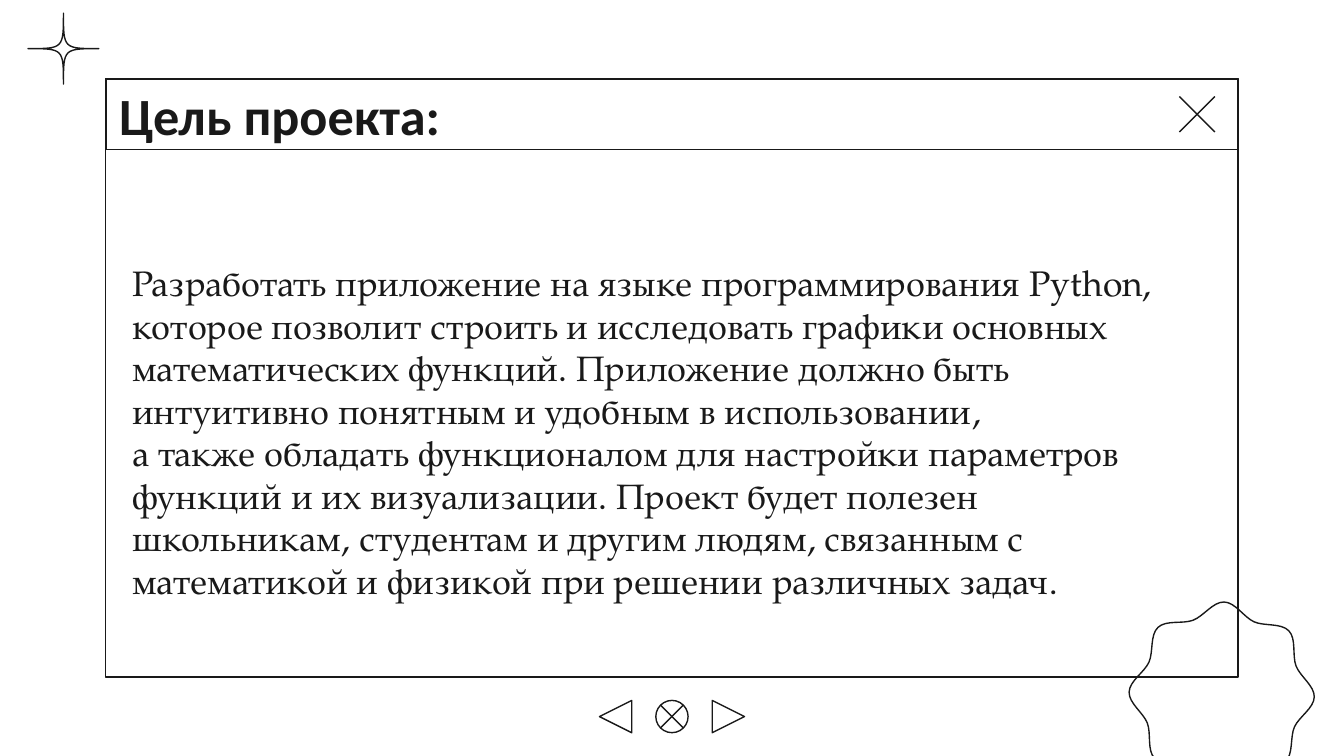
import math

import pptx
import pptx.dml.color
import pptx.enum.shapes
import pptx.enum.text
import pptx.util
from lxml import etree
from pptx.util import Cm

INK = pptx.dml.color.RGBColor(0x19, 0x19, 0x19)
WHITE = pptx.dml.color.RGBColor(0xFF, 0xFF, 0xFF)
SHAPES = pptx.enum.shapes.MSO_SHAPE
ANCHOR = pptx.enum.text.MSO_ANCHOR
NBSP = chr(160)

TITLE = "Цель проекта:"
# Words stay together on a line; lines break only between entries
GOAL_LINES = (
    "Разработать приложение на языке программирования Python,",
    "которое позволит строить и исследовать графики основных",
    "математических функций. Приложение должно быть",
    "интуитивно понятным и удобным в использовании,",
    "а также обладать функционалом для настройки параметров",
    "функций и их визуализации. Проект будет полезен",
    "школьникам, студентам и другим людям, связанным с",
    "математикой и физикой при решении различных задач",
)


def outline(part):
    part.fill.background()
    part.line.color.rgb = INK
    part.line.width = pptx.util.Pt(0.75)


def add_outlined(slide, kind, left, top, width, height):
    part = slide.shapes.add_shape(kind, left, top, width, height)
    part.shadow.inherit = False
    outline(part)
    return part


def add_closed_curve(slide, points):
    """Draw a start point followed by triples: two handles and an end."""
    points = [(round(x), round(y)) for x, y in points]
    builder = slide.shapes.build_freeform(*points[0], scale=1.0)
    builder.add_line_segments(points[1:], close=True)
    curve = builder.convert_to_shape()
    curve.shadow.inherit = False
    outline(curve)

    # Turn each triple of line ends into one Bezier segment
    qn = pptx.oxml.ns.qn
    lines = list(curve.element.spPr.iter(qn("a:lnTo")))
    for first in range(0, len(points) - 1, 3):
        triple = lines[first:first + 3]
        bezier = etree.Element(qn("a:cubicBezTo"))
        triple[0].addprevious(bezier)
        for line in triple:
            bezier.append(line[0])
            line.getparent().remove(line)


def set_frame(frame, anchor, left, top, right, bottom):
    frame.word_wrap = True
    frame.auto_size = pptx.enum.text.MSO_AUTO_SIZE.NONE
    frame.vertical_anchor = anchor
    frame.margin_left, frame.margin_top = left, top
    frame.margin_right, frame.margin_bottom = right, bottom
    frame.paragraphs[0].alignment = pptx.enum.text.PP_ALIGN.LEFT


def add_badge(slide, left, top, size):
    """Wavy ring with eight lobes, its handles along the tangents."""
    tilt, handle = math.radians(1.5), size * 0.06

    def spot(index, along):
        angle = tilt + index * math.tau / 16
        reach = size * (0.43 if index % 2 else 0.5)
        cos, sin = math.cos(angle), math.sin(angle)
        return (left + size / 2 + reach * cos - along * sin,
                top + size / 2 + reach * sin + along * cos)

    points = [spot(0, 0)]
    for index in range(16):
        points += [spot(index, handle), spot(index + 1, -handle),
                   spot(index + 1, 0)]
    add_closed_curve(slide, points)


def add_sparkle(slide, left, top, size):
    """Four-pointed star whose sides bend in to the centre."""
    radius = size / 2
    x, y = left + radius, top + radius
    points = [(x, y + radius)]
    for dx, dy in ((-1, 0), (0, -1), (1, 0), (0, 1)):
        points += [(x, y), (x, y), (x + dx * radius, y + dy * radius)]
    add_closed_curve(slide, points)


def add_goal(slide, left, top, width, height):
    """Window body with the goal at its foot."""
    window = add_outlined(slide, SHAPES.RECTANGLE, left, top, width, height)
    set_frame(window.text_frame, ANCHOR.BOTTOM,
              Cm(0.5), Cm(0.25), Cm(0.5), Cm(1.43))
    paragraph = window.text_frame.paragraphs[0]
    paragraph.font.size = pptx.util.Pt(19)
    paragraph.font.color.rgb = INK
    goal = " ".join(line.replace(" ", NBSP) for line in GOAL_LINES)
    for text, font in ((goal, "TeX Gyre Pagella"), (".", "Roboto Condensed")):
        run = paragraph.add_run()
        run.text = text
        run.font.name = font


def add_title_bar(slide, left, top, width, height):
    """Title with a close cross at the right end."""
    title = slide.shapes.title
    title.left, title.top, title.width, title.height = left, top, width, height
    outline(title)
    title.text_frame.text = TITLE
    set_frame(title.text_frame, ANCHOR.MIDDLE, *[Cm(0.25)] * 4)
    font = title.text_frame.paragraphs[0].font
    font.name, font.size, font.bold = "Calibri", pptx.util.Pt(28), True
    font.color.rgb = INK

    size = Cm(0.67)
    cross_left = left + width - Cm(1.11)
    cross_top = top + (height - size) // 2
    ends = (cross_top, cross_top + size)
    for start, end in (ends, ends[::-1]):
        stroke = slide.shapes.add_connector(
            pptx.enum.shapes.MSO_CONNECTOR.STRAIGHT,
            cross_left, start, cross_left + size, end)
        stroke.line.color.rgb = INK
        stroke.line.width = pptx.util.Pt(0.75)
        etree.SubElement(stroke.element.spPr, pptx.oxml.ns.qn("a:effectLst"))


def add_navigation(slide, left, top, width, height):
    """Back, close and forward icons, evenly spaced."""
    icons = ((SHAPES.ISOSCELES_TRIANGLE, 270),
             (SHAPES.FLOWCHART_SUMMING_JUNCTION, 0),
             (SHAPES.ISOSCELES_TRIANGLE, 90))
    for index, (kind, rotation) in enumerate(icons):
        icon_left = left + index * (width - height) // 2
        icon = add_outlined(slide, kind, icon_left, top, height, height)
        icon.rotation = rotation


def main():
    deck = pptx.Presentation()
    deck.slide_width, deck.slide_height = Cm(25.4), Cm(14.29)
    slide = deck.slides.add_slide(deck.slide_layouts[5])
    slide.background.fill.solid()
    slide.background.fill.fore_color.rgb = WHITE

    add_badge(slide, Cm(21.34), Cm(11.38), Cm(3.5))
    add_sparkle(slide, Cm(0.53), Cm(0.25), Cm(1.34))
    add_goal(slide, Cm(2), Cm(1.49), Cm(21.4), Cm(11.31))
    add_title_bar(slide, Cm(2), Cm(1.49), Cm(21.4), Cm(1.34))
    add_navigation(slide, Cm(11.33), Cm(13.24), Cm(2.74), Cm(0.61))
    deck.save("out.pptx")


if __name__ == "__main__":
    main()
